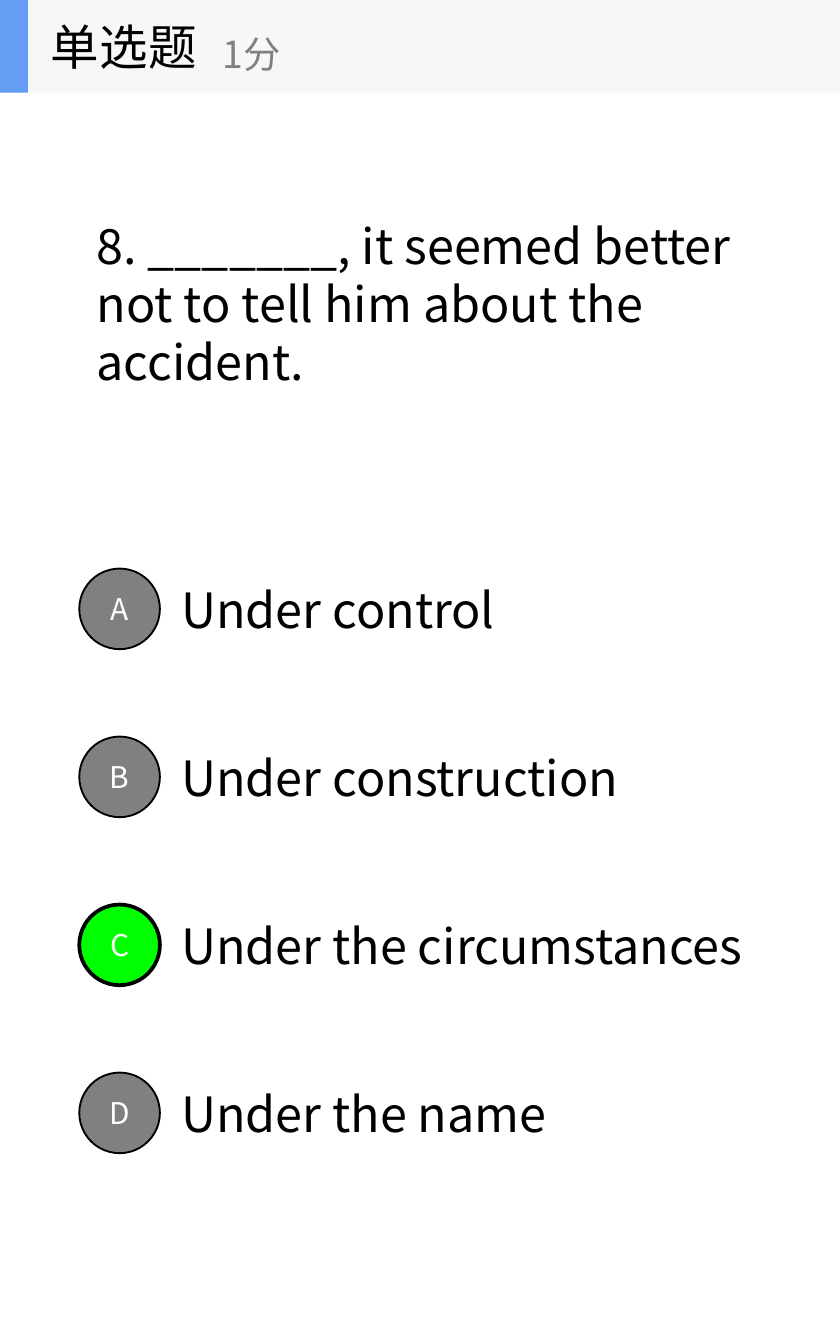
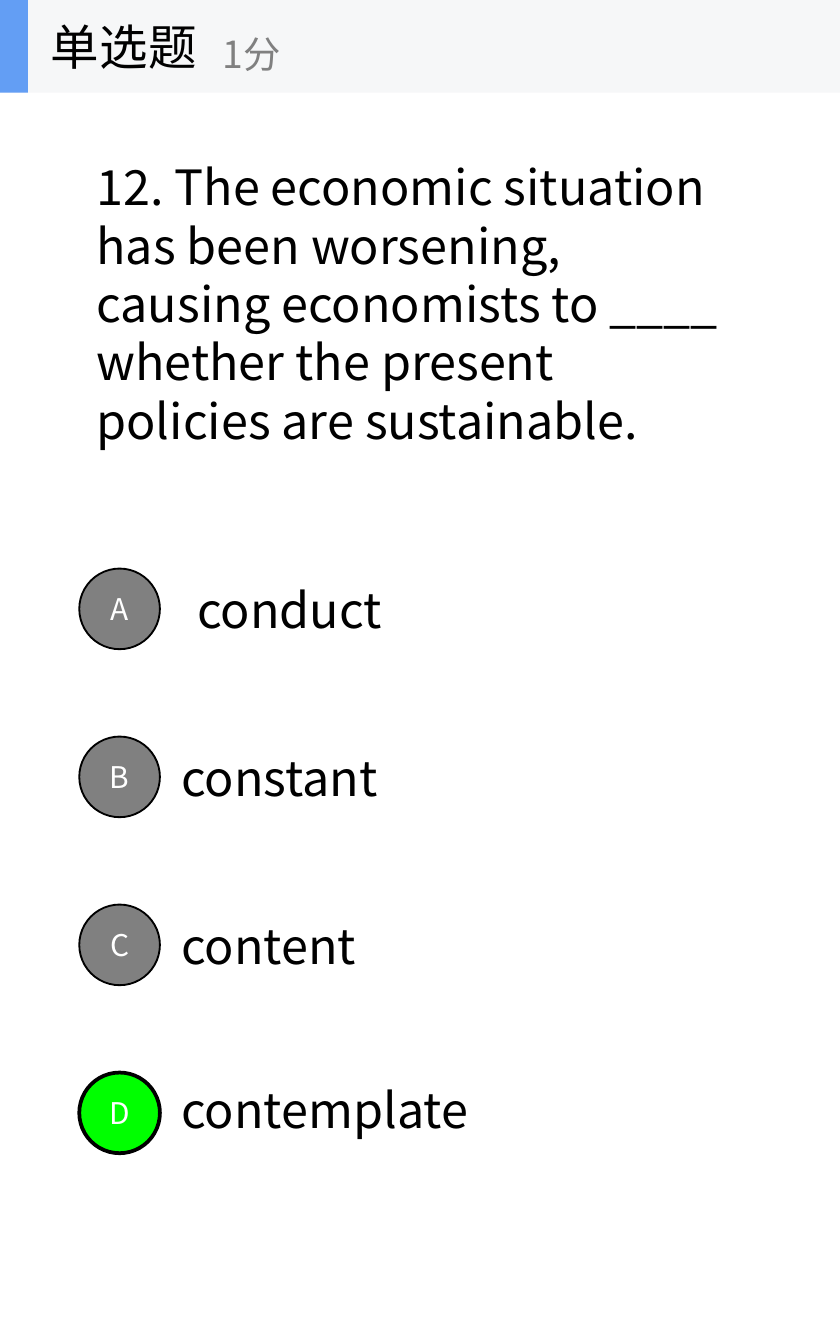
from pptx import Presentation
from pptx.dml.color import RGBColor
from pptx.enum.shapes import MSO_SHAPE as Preset
from pptx.enum.text import MSO_ANCHOR as Anchor, MSO_AUTO_SIZE as AutoSize, PP_ALIGN as Align
from pptx.oxml.ns import qn
from pptx.util import Pt
from lxml import etree

# Content: each option is text, width, shift right, shift down
HEADING, SCORE = "单选题", "1分"
QUESTIONS = [
    {
        "text": "8. _______, it seemed better not to tell him about the accident.",
        "box": (44.6, 111.6, 359.3, 101.5),
        "answer": "C",
        "options": [
            ("Under control", 321.8, 0, 0),
            ("Under construction", 314.6, 0, 0),
            ("Under the circumstances", 342, 0, 0),
            ("Under the name", 306.7, 0, 0),
        ],
    },
    {
        "text": "12. The economic situation has been worsening, causing economists to ____ "
                "whether the present policies are sustainable.",
        "box": (44.6, 79.9, 349.2, 164.9),
        "answer": "D",
        "options": [
            ("conduct", 277.9, 8.6, 0),
            ("constant", 285.8, 0, 0),
            ("content", 277.9, 0, 0),
            ("contemplate", 265.7, 0, -2.2),
        ],
    },
]

# Shared style
FONT = "Noto Sans CJK SC"
BLACK, WHITE, GREY, GREEN = "000000", "FFFFFF", "808080", "00FF00"
BAND, ACCENT = "F6F7F8", "639EF4"
PAGE_WIDTH, PAGE_HEIGHT = 450, 720
BAND_HEIGHT = 49.7
BADGE_LEFT, BADGE_SIZE = 42.5, 43.2
FIRST_ROW, ROW_PITCH = 304.6, 90
OPTION_LEFT, OPTION_HEIGHT = 90, 38.9


def color(value):
    return RGBColor.from_string(value)


def write(shape, text, size=26, fill=BLACK, align=Align.LEFT, spacing=None, grow=False, inset=None):
    frame = shape.text_frame
    frame.word_wrap = True
    frame.vertical_anchor = Anchor.MIDDLE
    frame.auto_size = AutoSize.SHAPE_TO_FIT_TEXT if grow else AutoSize.NONE
    if inset is not None:
        frame.margin_left = frame.margin_right = Pt(inset)
        frame.margin_top = frame.margin_bottom = Pt(inset)
    paragraph = frame.paragraphs[0]
    paragraph.alignment = align
    if spacing:
        paragraph.line_spacing = Pt(spacing)
    run = paragraph.add_run()
    run.text = text
    run.font.size = Pt(size)
    run.font.color.rgb = color(fill)
    run.font.name = FONT
    east_asian = etree.SubElement(run.font._element, qn("a:ea"))
    east_asian.set("typeface", FONT)


def add_text(shapes, box, text, **style):
    write(shapes.add_textbox(*map(Pt, box)), text, **style)


def add_block(shapes, preset, box, fill, line_width=0):
    shape = shapes.add_shape(preset, *map(Pt, box))
    shape.shadow.inherit = False
    shape.fill.solid()
    shape.fill.fore_color.rgb = color(fill)
    if line_width:
        shape.line.color.rgb = color(BLACK)
        shape.line.width = Pt(line_width)
    else:
        shape.line.fill.background()
    return shape


def add_header(slide):
    shapes = slide.shapes.add_group_shape().shapes
    add_block(shapes, Preset.RECTANGLE, (0, 0, PAGE_WIDTH, BAND_HEIGHT), BAND)
    add_block(shapes, Preset.RECTANGLE, (0, 0, 15, BAND_HEIGHT), ACCENT)
    add_text(shapes, (20.2, 0, 149.8, BAND_HEIGHT), HEADING)
    add_text(shapes, (112.3, 8.6, 180, 40.3), SCORE, size=20, fill=GREY)


def add_question(slide, question):
    shapes = slide.shapes
    add_text(shapes, question["box"], question["text"], spacing=31.2, grow=True)
    # Options with lettered badges
    for row, (letter, option) in enumerate(zip("ABCD", question["options"])):
        text, width, right, down = option
        top = FIRST_ROW + row * ROW_PITCH
        text_top = top + (BADGE_SIZE - OPTION_HEIGHT) / 2 + down
        add_text(shapes, (OPTION_LEFT + right, text_top, width, OPTION_HEIGHT), text, grow=True)
        correct = letter == question["answer"]
        badge = add_block(shapes, Preset.OVAL, (BADGE_LEFT, top, BADGE_SIZE, BADGE_SIZE),
                          GREEN if correct else GREY, 2 if correct else 1)
        write(badge, letter, size=16, fill=WHITE, align=Align.CENTER, inset=0)


def main():
    presentation = Presentation()
    presentation.slide_width, presentation.slide_height = Pt(PAGE_WIDTH), Pt(PAGE_HEIGHT)
    for question in QUESTIONS:
        slide = presentation.slides.add_slide(presentation.slide_layouts[6])
        add_question(slide, question)
        add_header(slide)
    presentation.save("out.pptx")


if __name__ == "__main__":
    main()
